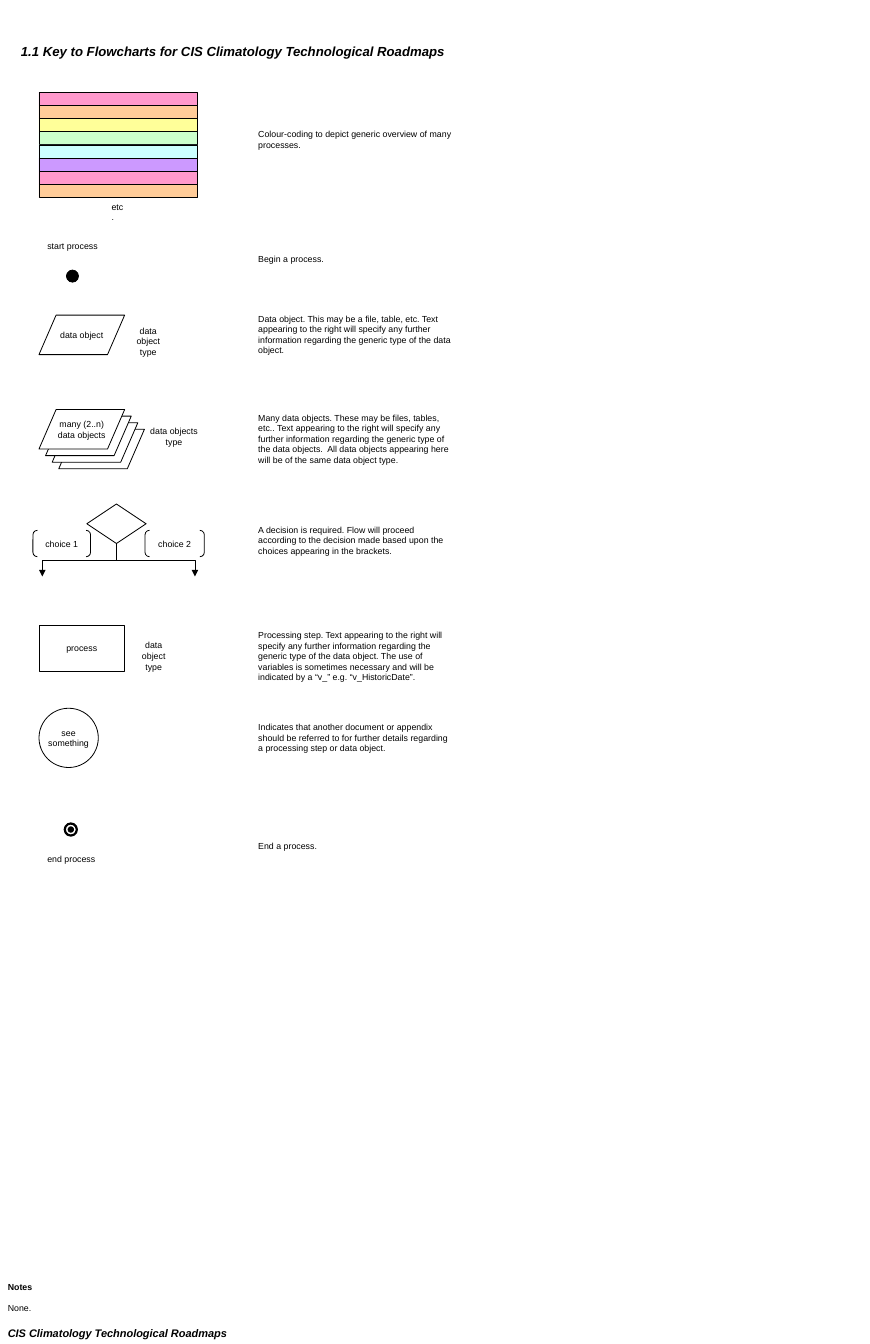
from dataclasses import dataclass

from lxml import etree
from pptx import Presentation
from pptx.dml.color import RGBColor
from pptx.enum.shapes import MSO_CONNECTOR, MSO_SHAPE
from pptx.enum.text import MSO_ANCHOR, MSO_AUTO_SIZE, PP_ALIGN
from pptx.oxml.ns import qn
from pptx.util import Pt

ELBOW = MSO_CONNECTOR.ELBOW
RECTANGLE, CIRCLE = MSO_SHAPE.RECTANGLE, MSO_SHAPE.OVAL
DATA, PROCESS = MSO_SHAPE.FLOWCHART_DATA, MSO_SHAPE.FLOWCHART_PROCESS
DECISION, BRACKETS = MSO_SHAPE.FLOWCHART_DECISION, MSO_SHAPE.DOUBLE_BRACKET
LEFT, CENTER = PP_ALIGN.LEFT, PP_ALIGN.CENTER
MIDDLE = MSO_ANCHOR.MIDDLE
FIT = MSO_AUTO_SIZE.SHAPE_TO_FIT_TEXT


@dataclass(frozen=True)
class Theme:
    font: str = "Arial"
    title: float = 12
    footer: float = 10
    body: float = 8
    thin: float = 0.75
    thick: float = 2
    black: RGBColor = RGBColor(0, 0, 0)
    white: RGBColor = RGBColor(255, 255, 255)
    bands: tuple = ("FF99CC", "FFCC99", "FFFF99", "CCFFCC",
                    "CCFFFF", "CC99FF", "FF99CC", "FFCC99")


THEME = Theme()

# Top, height and wording of each explanation
EXPLANATIONS = [
    (114, 26.5, "Colour-coding to depict generic overview of many processes."),
    (228, 17, "Begin a process."),
    (282, 46, "Data object. This may be a file, table, etc. Text appearing to the "
     "right will specify any further information regarding the generic type of "
     "the data object."),
    (372, 55.5, "Many data objects. These may be files, tables, etc.. Text "
     "appearing to the right will specify any further information regarding the "
     "generic type of the data objects.  All data objects appearing here will be "
     "of the same data object type."),
    (474, 36, "A decision is required. Flow will proceed according to the decision "
     "made based upon the choices appearing in the brackets."),
    (570, 55.5, "Processing step. Text appearing to the right will specify any "
     "further information regarding the generic type of the data object. The use "
     "of variables is sometimes necessary and will be indicated by a “v_” e.g. "
     "“v_HistoricDate”."),
    (654, 36, "Indicates that another document or appendix should be referred to "
     "for further details regarding a processing step or data object."),
    (762, 17, "End a process."),
]


def points(*lengths):
    return [Pt(length) for length in lengths]


def write(frame, lines, align, size=THEME.body, bold=False, italic=False):
    """Fill a text frame with one paragraph for each line."""
    for number, line in enumerate(lines):
        para = frame.add_paragraph() if number else frame.paragraphs[0]
        para.text = line
        para.alignment = align
        font = para.font
        font.name, font.size = THEME.font, Pt(size)
        font.bold, font.italic = bold, italic
        font.color.rgb = THEME.black


def add_text(shapes, box, *lines, align=LEFT, wrap=False, **style):
    frame = shapes.add_textbox(*points(*box)).text_frame
    frame.word_wrap = wrap
    frame.auto_size = FIT
    write(frame, lines, align, **style)
    return frame


def add_symbol(shapes, kind, box, *lines, fill=THEME.white, weight=THEME.thin):
    symbol = shapes.add_shape(kind, *points(*box))
    symbol.shadow.inherit = False
    if fill is None:
        symbol.fill.background()
    else:
        symbol.fill.solid()
        symbol.fill.fore_color.rgb = fill
    symbol.line.color.rgb = THEME.black
    symbol.line.width = Pt(weight)
    if lines:
        frame = symbol.text_frame
        frame.word_wrap = False
        frame.vertical_anchor = MIDDLE
        write(frame, lines, CENTER)
    return symbol


def add_branch(shapes, x, y, end_x, drop):
    """Elbow arrow that leaves downwards, turns halfway and ends downwards."""
    side = 1 if end_x > x else -1
    middle_x, middle_y = (x + end_x) / 2, y + drop / 2
    run, rise = side * drop / 2, abs(end_x - x) / 2
    branch = shapes.add_connector(ELBOW, *points(
        middle_x + run, middle_y - rise, middle_x - run, middle_y + rise))
    branch.line.color.rgb = THEME.black
    branch.line.width = Pt(THEME.thin)
    properties = branch._element.spPr
    # Quarter turn, in 60000ths of a degree
    properties.find(qn("a:xfrm")).set("rot", str((180 + side * 90) * 60000))
    etree.SubElement(properties.find(qn("a:ln")), qn("a:tailEnd"), type="triangle")
    etree.SubElement(properties, qn("a:effectLst"))


def colour_bands(shapes, left, top, width, height):
    step = height / len(THEME.bands)
    for number, colour in enumerate(THEME.bands):
        add_symbol(shapes, RECTANGLE, (left, top + number * step, width, step),
                   fill=RGBColor.from_string(colour))
    add_text(shapes, (left + width / 2 - 13, top + height, 27, 17), "etc.")


def start_marker(shapes, left, top, width, height):
    add_text(shapes, (left, top, width, 17), "start process")
    add_symbol(shapes, CIRCLE, (left + 24.5, top + height - 11, 11, 11),
               fill=THEME.black)


def end_marker(shapes, left, top, width, height):
    add_symbol(shapes, CIRCLE, (left + 23, top, 11, 11), weight=THEME.thick)
    add_symbol(shapes, CIRCLE, (left + 26, top + 3, 5, 5), fill=THEME.black)
    add_text(shapes, (left, top + height - 17, width, 17), "end process")


def data_object(shapes, left, top, width, height):
    add_text(shapes, (left + width - 5, top + 6, 53, 26.5),
             "data object", "type", align=CENTER)
    add_symbol(shapes, DATA, (left, top, width, height), "data object")


def many_data_objects(shapes, left, top, width, height):
    add_text(shapes, (left + width + 16, top + 11.5, 58, 26.5),
             "data objects", "type", align=CENTER)
    for shift in (18, 12, 6, 0):
        lines = () if shift else ("many (2..n)", "data objects")
        add_symbol(shapes, DATA, (left + shift, top + shift, width, height), *lines)


def decision(shapes, left, top, width, height):
    middle = left + 76
    add_symbol(shapes, DECISION, (middle - 27, top, 54, 36))
    choices = (("choice 1", left, 52.5), ("choice 2", left + width - 54, 54))
    for label, start, span in choices:
        pair = add_symbol(shapes, BRACKETS, (start, top + 24, span, 24), label,
                          fill=None)
        pair.adjustments[0] = 0.17
    for end_x in (left + 8.5, left + width - 8.5):
        add_branch(shapes, middle, top + 36, end_x, height - 36)


def process_step(shapes, left, top, width, height):
    add_symbol(shapes, PROCESS, (left, top, width, height), "process")
    add_text(shapes, (left + width, top + 10, 53, 26.5),
             "data object", "type", align=CENTER)


def reference(shapes, left, top, width, height):
    add_symbol(shapes, CIRCLE, (left, top, width, height), "see", "something")


def explanations(shapes, left, width):
    for top, height, wording in EXPLANATIONS:
        add_text(shapes, (left, top, width, height), wording, wrap=True)


def notes(shapes, left, top, width, height):
    frame = add_text(shapes, (left, top, width, height), "Notes", "None.", wrap=True)
    heading, content = frame.paragraphs
    heading.font.bold = True
    content.space_before = Pt(9.5)


# Region and its box: left, top, width, height
REGIONS = [
    (colour_bands, (35.5, 84, 144, 96)),
    (start_marker, (36, 216, 60.5, 41)),
    (data_object, (35.5, 287, 78, 36)),
    (many_data_objects, (35.5, 373, 78, 36)),
    (decision, (30, 459, 156, 66)),
    (process_step, (35.5, 569.5, 78, 42)),
    (reference, (35.5, 645, 54, 54)),
    (end_marker, (36, 750, 58.5, 41)),
]


def flowchart_key(page):
    add_text(page.shapes, (0, 1204.5, 214, 19.5),
             "CIS Climatology Technological Roadmaps",
             size=THEME.footer, bold=True, italic=True)
    add_text(page.shapes, (12, 36, 401, 21.5),
             "1.1 Key to Flowcharts for CIS Climatology Technological Roadmaps",
             size=THEME.title, bold=True, italic=True)
    for draw, box in REGIONS:
        draw(page.shapes.add_group_shape().shapes, *box)
    explanations(page.shapes, 228, 192)
    notes(page.shapes, 0, 1164, 792, 36)


def main():
    deck = Presentation()
    deck.slide_width, deck.slide_height = points(792, 1224)
    flowchart_key(deck.slides.add_slide(deck.slide_layouts[6]))
    deck.save("out.pptx")


if __name__ == "__main__":
    main()
